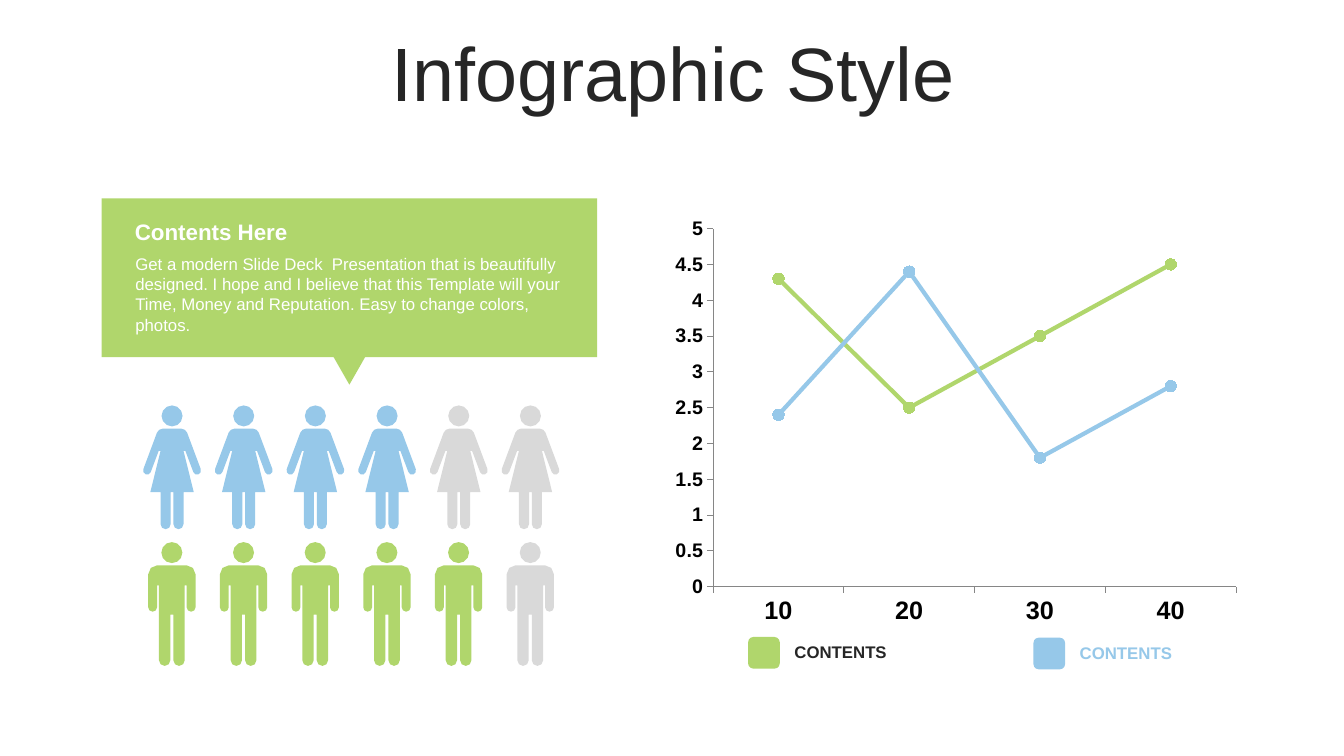
from math import cos, hypot, pi, sin

from lxml.etree import SubElement
from pptx import Presentation
from pptx.chart.data import CategoryChartData
from pptx.dml.color import RGBColor
from pptx.enum.chart import XL_CHART_TYPE as ChartType, XL_MARKER_STYLE as Marker
from pptx.enum.chart import XL_TICK_MARK as Tick
from pptx.enum.shapes import MSO_SHAPE as Preset
from pptx.enum.text import MSO_ANCHOR as Anchor, PP_ALIGN as Align
from pptx.oxml.ns import qn
from pptx.util import Pt

FONT = "Arial"
GREEN, BLUE, GREY = "B0D66C", "96C8E9", "D9D9D9"
DARK, WHITE, BLACK, AXIS = "262626", "FFFFFF", "000000", "868686"

# Right half of each body: x from the centre line, y from the top, corner radius
MAN = [(16.9, 16.6, 6.4), (16.9, 49.7, 3.1), (10.6, 49.7, 3.1), (10.6, 31, 0),
       (9.2, 31, 0), (9.2, 88.4, 4), (1.1, 88.4, 4), (1.1, 51.8, 0)]
WOMAN = [(9.7, 16.6, 3), (21.5, 48.2, 2.9), (16.2, 50.3, 2.9), (9.5, 32.4, 0),
         (8.2, 32.4, 0), (15.5, 61.9, 0), (8.2, 61.9, 0), (8.2, 88.4, 3.6),
         (1, 88.4, 3.6), (1, 61.9, 0)]
HEAD_RADIUS, HEAD_SIDES = 7.5, 12


def rgb(color):
    return RGBColor.from_string(color)


def paint(shape, color):
    shape.shadow.inherit = False
    shape.fill.solid()
    shape.fill.fore_color.rgb = rgb(color)
    shape.line.fill.background()


def style(font, size, color, bold=False):
    font.name, font.size, font.bold = FONT, Pt(size), bold
    font.color.rgb = rgb(color)


def add_text(slide, box, text, size, color, bold=False, anchor=Anchor.MIDDLE):
    frame = slide.shapes.add_textbox(*map(Pt, box)).text_frame
    frame.word_wrap = True
    frame.vertical_anchor = anchor
    paragraph = frame.paragraphs[0]
    paragraph.text = text
    style(paragraph.runs[0].font, size, color, bold)
    return paragraph


def add_outline(shapes, contours, color):
    builder = None
    for contour in contours:
        start, *rest = [(Pt(x), Pt(y)) for x, y in contour]
        if builder is None:
            builder = shapes.build_freeform(*start)
        else:
            builder.move_to(*start)
        builder.add_line_segments(rest, close=True)
    paint(builder.convert_to_shape(), color)


def rounded(corners):
    """Points of a polygon whose corners are rounded by their radius."""
    points = []
    for i, (x, y, radius) in enumerate(corners):
        if not radius:
            points.append((x, y))
            continue
        ends = []
        for nx, ny, _ in (corners[i - 1], corners[(i + 1) % len(corners)]):
            reach = radius / hypot(nx - x, ny - y)
            ends.append(((nx - x) * reach, (ny - y) * reach))
        (ax, ay), (bx, by) = ends
        for a, b in ((1, 0), (0.29, 0.29), (0, 1)):
            points.append((x + a * ax + b * bx, y + a * ay + b * by))
    return points


def add_person(shapes, center, top, half_body, color):
    mirrored = [(-x, y, radius) for x, y, radius in reversed(half_body)]
    body = rounded(half_body + mirrored)
    angles = [2 * pi * k / HEAD_SIDES for k in range(HEAD_SIDES)]
    head = [(HEAD_RADIUS * cos(a), HEAD_RADIUS * (1 + sin(a))) for a in angles]
    contours = [[(center + x, top + y) for x, y in part] for part in (body, head)]
    add_outline(shapes, contours, color)


def add_people(slide, left, top, pitch, half_body, color, colored, total=6):
    row = slide.shapes.add_group_shape()
    for i in range(total):
        add_person(row.shapes, left + i * pitch, top, half_body,
                   color if i < colored else GREY)


def add_callout(slide, left, top, width, height):
    # Banner with a pointer below its middle
    pointer_width, pointer_height = 22.4, 19.6
    right, middle = left + width, left + width / 2
    bottom = top + height - pointer_height
    add_outline(slide.shapes, [[
        (left, top), (right, top), (right, bottom),
        (middle + pointer_width / 2, bottom), (middle, top + height),
        (middle - pointer_width / 2, bottom), (left, bottom)]], GREEN)
    add_text(slide, (left + 16.6, top + 10, 320, 26.6), "Contents Here", 16, WHITE, True)
    add_text(slide, (left + 17, top + 36, 320, 65.5),
             "Get a modern Slide Deck  Presentation that is beautifully designed. "
             "I hope and I believe that this Template will your Time, Money and "
             "Reputation. Easy to change colors, photos.", 12, WHITE, anchor=Anchor.TOP)


def add_line_chart(slide, left, top, width, height):
    data = CategoryChartData()
    data.categories = ["10", "20", "30", "40"]
    data.add_series("Series 1", (4.3, 2.5, 3.5, 4.5))
    data.add_series("Series 2", (2.4, 4.4, 1.8, 2.8))
    chart = slide.shapes.add_chart(ChartType.LINE_MARKERS, Pt(left), Pt(top),
                                   Pt(width), Pt(height), data).chart
    chart.has_legend = chart.has_title = False
    style(chart.font, 18, BLACK)
    chart.plots[0].vary_by_categories = False

    # Axes
    for axis, size in ((chart.category_axis, 18), (chart.value_axis, 14)):
        axis.has_major_gridlines = False
        axis.major_tick_mark, axis.minor_tick_mark = Tick.OUTSIDE, Tick.NONE
        axis.format.line.color.rgb = rgb(AXIS)
        axis.format.line.width = Pt(0.75)
        style(axis.tick_labels.font, size, BLACK, True)
    values = chart.value_axis
    values.minimum_scale, values.maximum_scale, values.major_unit = 0, 5, 0.5
    values.tick_labels.number_format = "General"
    values.tick_labels.number_format_is_linked = False

    # Series
    for series, color in zip(chart.plots[0].series, (GREEN, BLUE)):
        series.smooth = False
        series.format.line.color.rgb = rgb(color)
        series.format.line.width = Pt(3)
        series.marker.style, series.marker.size = Marker.CIRCLE, 8
        series.marker.format.fill.solid()
        series.marker.format.fill.fore_color.rgb = rgb(color)
        series.marker.format.line.color.rgb = rgb(color)

    # Inner plot area as fractions of the chart
    plot_area = chart.plots[0]._element.getparent()
    for old in plot_area.findall(qn("c:layout")):
        plot_area.remove(old)
    layout = SubElement(plot_area, qn("c:layout"))
    plot_area.insert(0, layout)
    manual = SubElement(layout, qn("c:manualLayout"))
    for tag, value in (("layoutTarget", "inner"), ("xMode", "edge"), ("yMode", "edge"),
                       ("x", 0.107), ("y", 0.042), ("w", 0.862), ("h", 0.836)):
        SubElement(manual, qn(f"c:{tag}")).set("val", str(value))


def add_legend_entry(slide, left, top, color, text_color):
    swatch_size = 22.6
    swatch = slide.shapes.add_shape(Preset.ROUNDED_RECTANGLE, Pt(left), Pt(top),
                                    Pt(swatch_size), Pt(swatch_size))
    paint(swatch, color)
    add_text(slide, (left + 26, top, 93.6, 21.8), "CONTENTS", 12, text_color, True)


def add_infographic(prs):
    slide = prs.slides.add_slide(prs.slide_layouts[6])
    title = add_text(slide, (25.2, 26.6, 911.5, 57), "Infographic Style", 54, DARK)
    title.alignment, title.line_spacing = Align.CENTER, 0.9

    # People
    add_people(slide, 122.8, 387.2, 51.2, MAN, GREEN, colored=5)
    add_people(slide, 122.9, 289.6, 51.2, WOMAN, BLUE, colored=4)

    add_callout(slide, 72.6, 141.8, 354, 133)

    # Chart and its legend
    add_line_chart(slide, 463, 150.5, 433.4, 306)
    add_legend_entry(slide, 534.4, 455, GREEN, DARK)
    add_legend_entry(slide, 738.2, 455.5, BLUE, BLUE)


def main():
    prs = Presentation()
    prs.slide_width, prs.slide_height = Pt(960), Pt(540)
    add_infographic(prs)
    prs.save("out.pptx")


if __name__ == "__main__":
    main()
